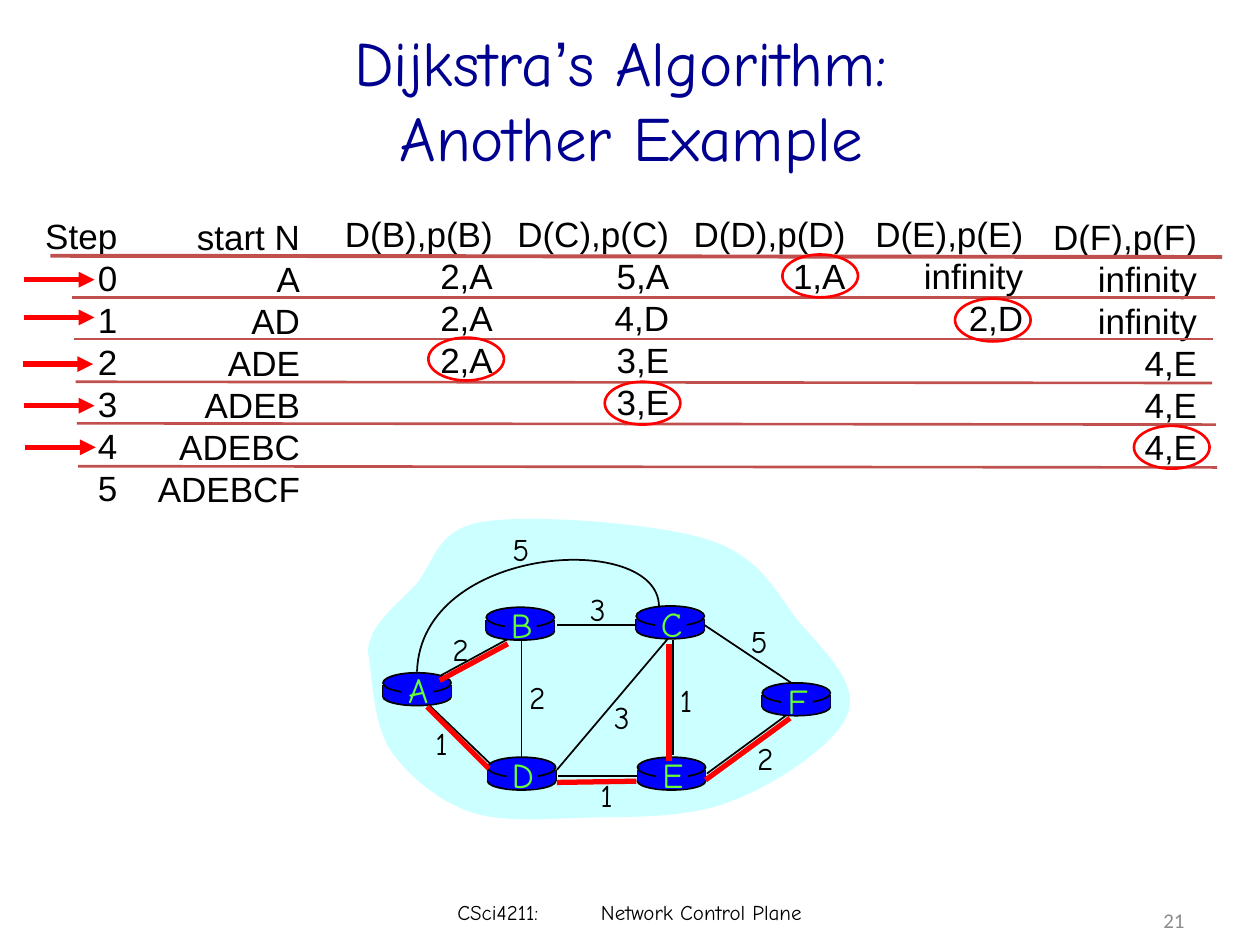
from lxml.etree import SubElement
from pptx import Presentation
from pptx.dml.color import RGBColor
from pptx.enum.shapes import MSO_CONNECTOR, MSO_SHAPE
from pptx.enum.text import MSO_ANCHOR, PP_ALIGN
from pptx.oxml.ns import qn
from pptx.util import Inches, Pt

COLORS = {
    "title": "000090", "ink": "000000", "number": "8C8C8C", "rule": "C0504D",
    "cloud": "CCFFFF", "router": "0000FF", "node": "66FF33", "mark": "FF0000",
}
HAND, SANS = "Comic Neue", "Arial"

COLUMNS = [
    (0.26, 1.65, 0.77, ["Step", "0", "1", "2", "3", "4", "5"]),
    (1.15, 1.66, 1.33, ["start N", "A", "AD", "ADE", "ADEB", "ADEBC", "ADEBCF"]),
    (2.64, 1.64, 1.37, ["D(B),p(B)", "2,A", "2,A", "2,A"]),
    (4.01, 1.64, 1.4, ["D(C),p(C)", "5,A", "4,D", "3,E", "3,E"]),
    (5.41, 1.64, 1.4, ["D(D),p(D)", "1,A"]),
    (6.85, 1.64, 1.37, ["D(E),p(E)", "infinity", "2,D"]),
    (8.26, 1.66, 1.34, ["D(F),p(F)", "infinity", "infinity", "4,E", "4,E", "4,E"]),
]
RULES = [
    ((0.4, 2.03), (9.7, 2.04), 2.25), ((0.57, 2.36), (9.64, 2.36), 1.5),
    ((0.59, 2.69), (9.63, 2.69), 1.5), ((0.6, 3.03), (9.62, 3.04), 1.5),
    ((0.61, 3.36), (9.65, 3.37), 1.5), ((0.62, 3.7), (9.66, 3.71), 1.5),
]
STEP_ARROWS = [(0.19, 2.22), (0.19, 2.52), (0.18, 2.89), (0.19, 3.22), (0.2, 3.55)]
CHOICES = [(6.21, 2.02), (7.58, 2.37), (3.4, 2.68), (4.8, 3.03), (9, 3.38)]

CLOUD = [
    (2.92, 5.17),
    (2.93, 4.96), (3.14, 4.81), (3.3, 4.64), (3.45, 4.47), (3.45, 4.2), (3.84, 4.14),
    (4.22, 4.08), (5.19, 4.15), (5.61, 4.28), (6.03, 4.41), (6.15, 4.69), (6.33, 4.92),
    (6.52, 5.15), (6.82, 5.41), (6.73, 5.66), (6.65, 5.9), (6.15, 6.23), (5.8, 6.36),
    (5.45, 6.5), (4.99, 6.48), (4.64, 6.49), (4.3, 6.5), (3.98, 6.53), (3.72, 6.44),
    (3.47, 6.35), (3.23, 6.15), (3.09, 5.94), (2.96, 5.73), (2.95, 5.33), (2.92, 5.17),
]
ARC_A_TO_C = [(5.23, 4.81), (5.22, 4.21), (3.34, 4.32), (3.31, 5.33)]
EDGES = [
    ((3.5, 5.36), (4.09, 5.04)), ((5.34, 5.08), (5.34, 5.99)),
    ((4.14, 5.09), (4.14, 6.03)), ((4.42, 6.11), (5.3, 5.07)),
    ((5.61, 6.14), (6.25, 5.67)), ((5.07, 6.16), (4.43, 6.16)),
    ((3.89, 6.06), (3.41, 5.6)), ((5.06, 4.96), (4.42, 4.96)),
    ((6.28, 5.42), (5.59, 4.96)),
]
ROUTERS = {
    "A": (3.04, 5.34), "D": (3.87, 6.01), "B": (3.86, 4.82),
    "C": (5.05, 4.81), "E": (5.06, 6.01), "F": (6.05, 5.42),
}
COSTS = [
    ("2", 3.48, 4.95), ("2", 4.09, 5.33), ("1", 3.33, 5.7), ("3", 4.76, 5.49),
    ("1", 4.64, 6.11), ("1", 5.27, 5.36), ("2", 5.9, 5.82), ("5", 5.85, 4.89),
    ("3", 4.57, 4.63), ("5", 3.96, 4.16),
]
TREE = [
    ((3.39, 5.61), (3.88, 6.1)), ((4.42, 6.21), (5.05, 6.2)),
    ((3.49, 5.4), (4.03, 5.11)), ((5.31, 6.04), (5.31, 5.11)),
    ((5.6, 6.19), (6.27, 5.7)),
]


def color(name):
    return RGBColor.from_string(COLORS[name])


def write(paragraph, text, font=SANS, size=20, ink="ink", align=PP_ALIGN.CENTER):
    paragraph.alignment = align
    run = paragraph.add_run()
    run.text = text
    run.font.name = font
    run.font.size = Pt(size)
    run.font.color.rgb = color(ink)


def bend(shape):
    segments = list(shape._element.iter(qn("a:lnTo")))
    for first, second, third in zip(*(segments[offset::3] for offset in range(3))):
        first.tag = qn("a:cubicBezTo")
        for segment in (second, third):
            first.append(segment[0])
            segment.getparent().remove(segment)


class SlideBuilder:
    """Draws styled elements on the current slide."""

    def __init__(self, slide):
        self.slide = slide

    def frame(self, left, top, width, height, wrap=False, anchor=MSO_ANCHOR.TOP):
        box = self.slide.shapes.add_textbox(*map(Inches, (left, top, width, height)))
        box.text_frame.word_wrap = wrap
        box.text_frame.vertical_anchor = anchor
        return box.text_frame

    def label(self, text, left, top, width, height, **style):
        write(self.frame(left, top, width, height).paragraphs[0], text, **style)

    def column(self, left, top, width, entries):
        frame = self.frame(left, top, width, 0.1 + len(entries) / 3, wrap=True)
        frame.margin_left = 0
        for index, entry in enumerate(entries):
            paragraph = frame.add_paragraph() if index else frame.paragraphs[0]
            paragraph.line_spacing = Pt(24)
            write(paragraph, entry, align=PP_ALIGN.RIGHT)

    def paint(self, shape, fill=None, line=None, weight=1):
        shape.shadow.inherit = False
        if fill:
            shape.fill.solid()
            shape.fill.fore_color.rgb = color(fill)
        else:
            shape.fill.background()
        if line:
            shape.line.color.rgb = color(line)
            shape.line.width = Pt(weight)
        else:
            shape.line.fill.background()

    def shape(self, kind, left, top, width, height, **style):
        shape = self.slide.shapes.add_shape(kind, *map(Inches, (left, top, width, height)))
        self.paint(shape, **style)

    def curve(self, controls, closed=False, **style):
        points = [(Inches(x), Inches(y)) for x, y in controls]
        builder = self.slide.shapes.build_freeform(*points[0])
        builder.add_line_segments(points[1:], close=closed)
        shape = builder.convert_to_shape()
        bend(shape)
        self.paint(shape, **style)

    def line(self, start, end, ink="ink", weight=1, arrow=False):
        connector = self.slide.shapes.add_connector(
            MSO_CONNECTOR.STRAIGHT, *map(Inches, (*start, *end)))
        connector.line.color.rgb = color(ink)
        connector.line.width = Pt(weight)
        if arrow:
            SubElement(connector.line._get_or_add_ln(), qn("a:tailEnd"), type="triangle")
        SubElement(connector._element.spPr, qn("a:effectLst"))

    def router(self, name, left, top):
        self.shape(MSO_SHAPE.OVAL, left, top + 0.12, 0.54, 0.14, fill="router", line="ink")
        for x in (left, left + 0.54):
            self.line((x, top + 0.1), (x, top + 0.19))
        self.shape(MSO_SHAPE.RECTANGLE, left, top + 0.1, 0.54, 0.09, fill="router")
        self.shape(MSO_SHAPE.OVAL, left, top, 0.54, 0.16, fill="router", line="ink")
        self.shape(MSO_SHAPE.RECTANGLE, left + 0.15, top + 0.02, 0.25, 0.23, fill="router")
        self.label(name, left + 0.09, top - 0.08, 0.38, 0.43, font=HAND, ink="node")

    def title(self):
        paragraph = self.frame(0.76, 0.16, 8.5, 1.25, True, MSO_ANCHOR.MIDDLE).paragraphs[0]
        style = {"size": 36, "ink": "title"}
        write(paragraph, "Dijkstra", font=HAND, **style)
        write(paragraph, "’", **style)
        write(paragraph, "s Algorithm: ", font=HAND, **style)
        paragraph.add_line_break()
        write(paragraph, "Another Example", font=HAND, **style)

    def footer(self):
        frame = self.frame(3.42, 7.14, 3.17, 0.4, wrap=True)
        frame.margin_left, frame.margin_top = Inches(0.21), 0
        paragraph = frame.paragraphs[0]
        write(paragraph, "CSci4211:\tNetwork Control Plane",
              font=HAND, size=12, align=PP_ALIGN.LEFT)
        stops = SubElement(paragraph._p.get_or_add_pPr(), qn("a:tabLst"))
        SubElement(stops, qn("a:tab"), pos=str(Inches(1.14)), algn="l")
        number = self.frame(7.17, 7.1, 2.33, 0.4, True, MSO_ANCHOR.MIDDLE)
        write(number.paragraphs[0], "21", font="Calibri", size=12, ink="number",
              align=PP_ALIGN.RIGHT)


def main():
    presentation = Presentation()
    presentation.slide_width, presentation.slide_height = Inches(10), Inches(7.5)
    builder = SlideBuilder(presentation.slides.add_slide(presentation.slide_layouts[6]))
    builder.title()
    for column in COLUMNS:
        builder.column(*column)
    for start, end, weight in RULES:
        builder.line(start, end, "rule", weight)
    builder.curve(CLOUD, closed=True, fill="cloud")
    for edge in EDGES:
        builder.line(*edge)
    builder.curve(ARC_A_TO_C, line="ink")
    for name, place in ROUTERS.items():
        builder.router(name, *place)
    for cost, left, top in COSTS:
        builder.label(cost, left, top, 0.35, 0.4, font=HAND, size=18)
    for branch in TREE:
        builder.line(*branch, "mark", 3)
    for x, y in STEP_ARROWS:
        builder.line((x, y), (x + 0.56, y), "mark", 3, arrow=True)
    builder.footer()
    for left, top in CHOICES:
        builder.shape(MSO_SHAPE.OVAL, left, top, 0.6, 0.34, line="mark", weight=1.5)
    presentation.save("out.pptx")


if __name__ == "__main__":
    main()
